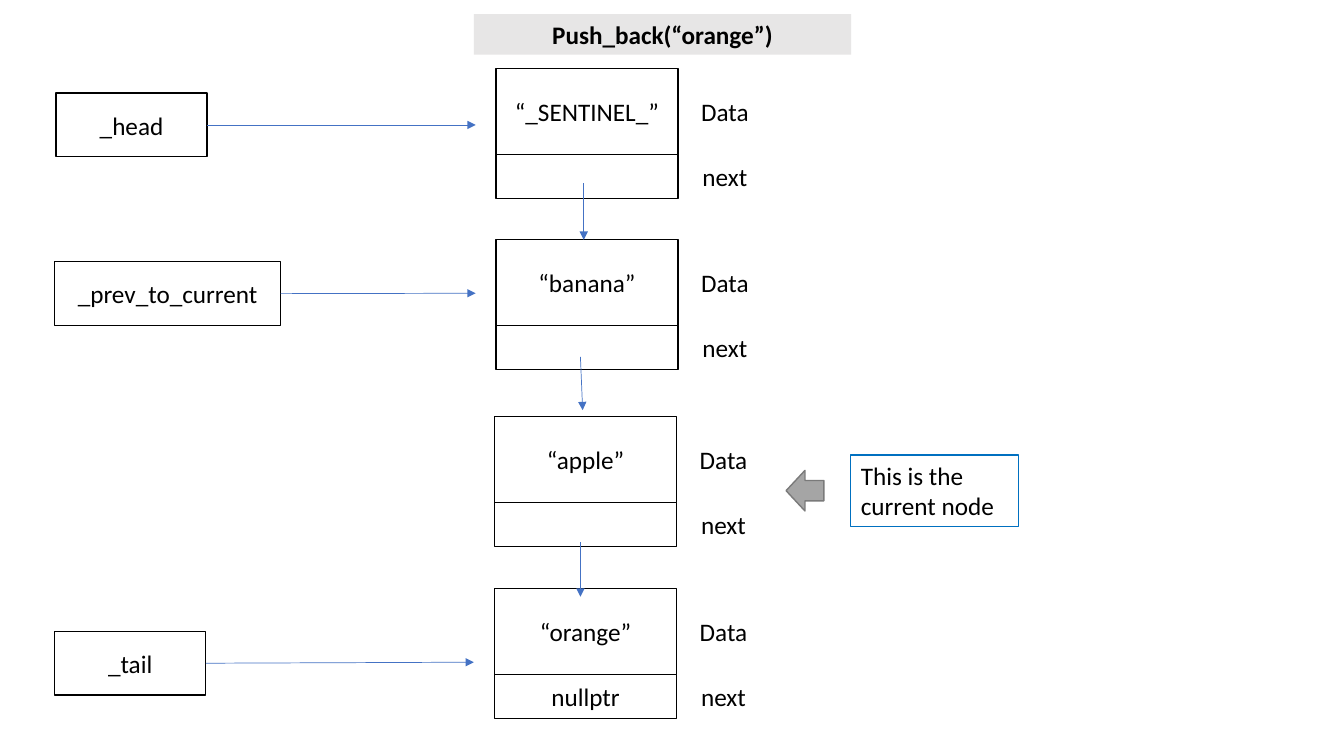
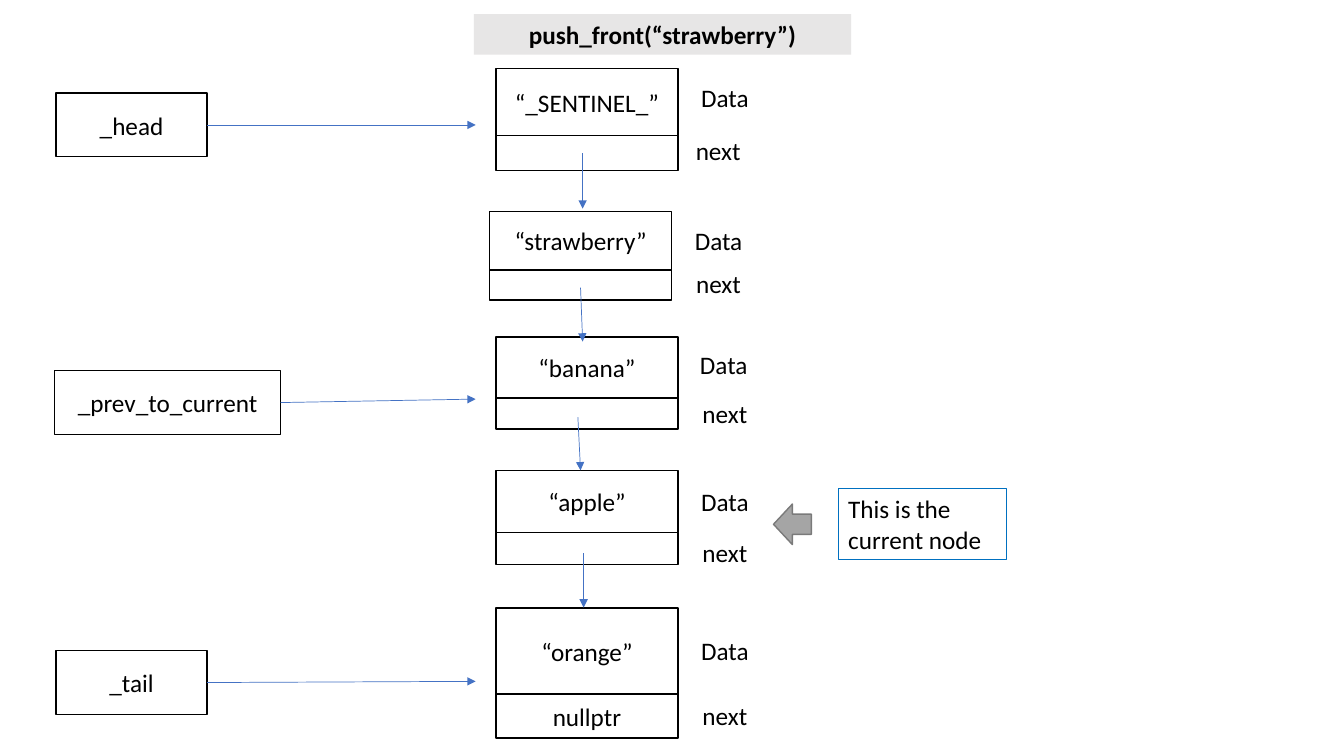
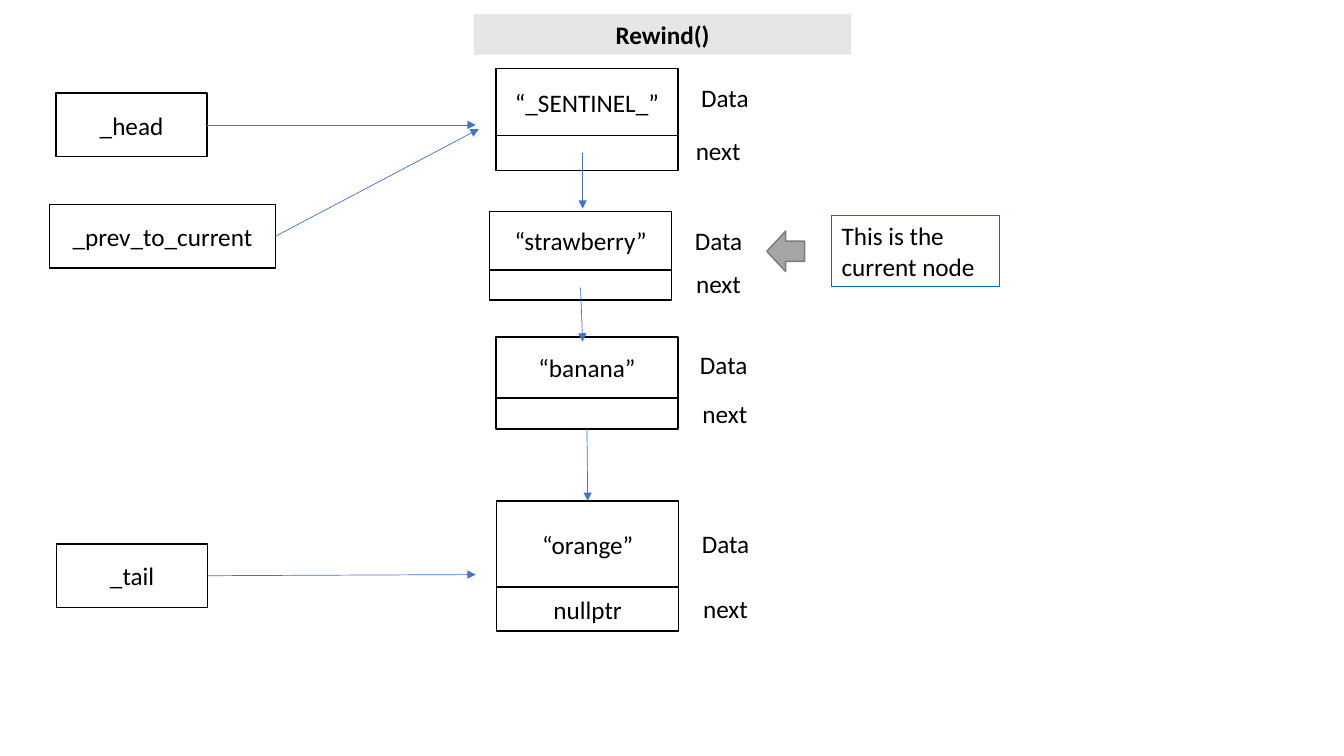
from pptx import Presentation
from pptx.util import Pt
from pptx.dml.color import RGBColor
from pptx.enum.shapes import MSO_SHAPE as Kind, MSO_CONNECTOR as Wire
from pptx.enum.text import PP_ALIGN as Align, MSO_ANCHOR as Anchor, MSO_AUTO_SIZE as Auto
from pptx.oxml.ns import qn
from lxml.etree import SubElement

HUES = {"ink": "000000", "paper": "FFFFFF", "band": "E7E6E6", "wire": "4472C4",
        "note": "0070C0", "arrow": "A5A5A5", "edge": "7A7A7A"}
FONT, SIZE = "Calibri", 18
NODE_W, LABEL_W, LABEL_H, LABEL_DX = 130, 97, 29, 163.5
POINT_H = 45.5
TALL, MID, LOW, SLIM = (61.5, 31.4), (48, 25), (43.5, 22.3), (41.8, 21.4)
EVEN = ((0, 0), (0, 0))

HEAD = ("_head", 40, 66.5, 108, (339.8, 89.25))
FIRST = ("“_SENTINEL_”", "", 354.3, 49, MID, ((0, -3.3), (-4.8, -1.7)))
BERRY = ("“strawberry”", "", 349.8, 151, SLIM, ((0, 0), (0, -0.6)))
BANANA = ("“banana”", "", 354.3, 240.7, LOW, ((-0.8, -1.8), (0, 0)))
FIRST_LINK = (416.2, 109.5, 416.2, 149)
BERRY_LINK = (414.7, 205.5, 416.2, 244)

SLIDES = [
    {"title": "Push_back(“orange”)",
     "nodes": [("“_SENTINEL_”", "", 354.3, 49, TALL, EVEN),
               ("“banana”", "", 354.3, 171, TALL, EVEN),
               ("“apple”", "", 353.3, 297.6, TALL, EVEN),
               ("“orange”", "nullptr", 353.3, 420.3, TALL, EVEN)],
     "links": [(417, 131, 417, 171.3), (414.6, 255, 416.2, 293),
               (414.6, 387.3, 414.6, 426.2)],
     "points": [HEAD,
                ("_prev_to_current", 39, 187, 161.5, (339.8, 209.5)),
                ("_tail", 39, 451, 108, (338.5, 473))],
     "note": (607.8, 325)},
    {"title": "push_front(“strawberry”)",
     "nodes": [FIRST, BERRY, BANANA,
               ("“apple”", "", 354.3, 336, (44.3, 22.9), ((0, 0), (0, 2.9))),
               ("“orange”", "nullptr", 354.3, 434.3, TALL, EVEN)],
     "links": [FIRST_LINK, BERRY_LINK, (412.8, 298, 414.7, 336),
               (416.9, 395.3, 416.9, 434)],
     "points": [HEAD,
                ("_prev_to_current", 39, 264.8, 161.5, (339.8, 285.1)),
                ("_tail", 40, 464.8, 108, (339.8, 486.7))],
     "note": (598.8, 349)},
    {"title": "Rewind()",
     "nodes": [FIRST, BERRY, BANANA,
               ("“orange”", "nullptr", 354.8, 357.8, TALL, EVEN)],
     "links": [FIRST_LINK, BERRY_LINK, None],
     "points": [HEAD,
                ("_prev_to_current", 35.3, 146, 161.5, (342, 92.2)),
                ("_tail", 40.4, 388.5, 108, (339.8, 410.4))],
     "note": (594, 154)},
]


def hue(name):
    return RGBColor.from_string(HUES[name])


def write(shape, text, align=Align.CENTER, bold=False):
    frame = shape.text_frame
    frame.text = text
    frame.word_wrap = True
    frame.auto_size = Auto.NONE
    para = frame.paragraphs[0]
    para.alignment = align
    font = para.font
    font.name, font.size, font.bold = FONT, Pt(SIZE), bold
    font.color.rgb = hue("ink")


def draw(shapes, kind, x, y, w, h, fill="paper", line="ink", width=1):
    shape = shapes.add_shape(kind, Pt(x), Pt(y), Pt(w), Pt(h))
    shape.shadow.inherit = False
    if fill:
        shape.fill.solid()
        shape.fill.fore_color.rgb = hue(fill)
    else:
        shape.fill.background()
    shape.line.color.rgb = hue(line)
    shape.line.width = Pt(width)
    return shape


def box(shapes, text, x, y, w, h):
    shape = draw(shapes, Kind.RECTANGLE, x, y, w, h)
    if text:
        write(shape, text)
        shape.text_frame.vertical_anchor = Anchor.MIDDLE
    return shape


def wire(shapes, x1, y1, x2, y2):
    line = shapes.add_connector(Wire.STRAIGHT, Pt(x1), Pt(y1), Pt(x2), Pt(y2))
    line.line.color.rgb = hue("wire")
    line.line.width = Pt(0.5)
    props = line.line._get_or_add_ln()
    SubElement(props, qn("a:tailEnd"), type="triangle")
    SubElement(props.getparent(), qn("a:effectLst"))
    return line


def node(shapes, data, link, x, y, sizes, shifts):
    group = shapes.add_group_shape()
    cells = []
    for text, name, h, (dx, dy) in zip((data, link), ("Data", "next"), sizes, shifts):
        cells.append(box(group.shapes, text, x, y, NODE_W, h))
        label = shapes.add_textbox(Pt(x + LABEL_DX + dx - LABEL_W / 2 + NODE_W / 2 - 65 + 0),
                                   Pt(y + (h - LABEL_H) / 2 + dy), Pt(LABEL_W), Pt(LABEL_H))
        write(label, name)
        y += h
    return cells


def point(shapes, text, x, y, w, end):
    start = box(shapes, text, x, y, w, POINT_H)
    wire(shapes, x + w, y + POINT_H / 2, *end).begin_connect(start, 3)


def note(shapes, x, y):
    draw(shapes, Kind.LEFT_ARROW, x - 46.3, y + 11, 27, 29, "arrow", "edge")
    frame = draw(shapes, Kind.RECTANGLE, x, y, 120, 51, None, "note", 0.75)
    write(frame, "This is the current node", Align.LEFT)
    frame.text_frame.vertical_anchor = Anchor.TOP


def head(title, text):
    title.left, title.top, title.width, title.height = Pt(338.5), Pt(10), Pt(269.5), Pt(29)
    title.fill.solid()
    title.fill.fore_color.rgb = hue("band")
    write(title, text, bold=True)
    title.text_frame.vertical_anchor = Anchor.MIDDLE


def main():
    deck = Presentation()
    deck.slide_width, deck.slide_height = Pt(960), Pt(540)
    for page in SLIDES:
        shapes = deck.slides.add_slide(deck.slide_layouts[5]).shapes
        head(shapes.title, page["title"])
        nodes = [node(shapes, *item) for item in page["nodes"]]
        for item in page["points"]:
            point(shapes, *item)
        for link, above, below in zip(page["links"], nodes, nodes[1:]):
            line = wire(shapes, *(link or (0, 0, 0, 0)))
            if not link:
                line.begin_connect(above[1], 2)
                line.end_connect(below[0], 0)
        note(shapes, *page["note"])
    deck.save("out.pptx")


if __name__ == "__main__":
    main()
